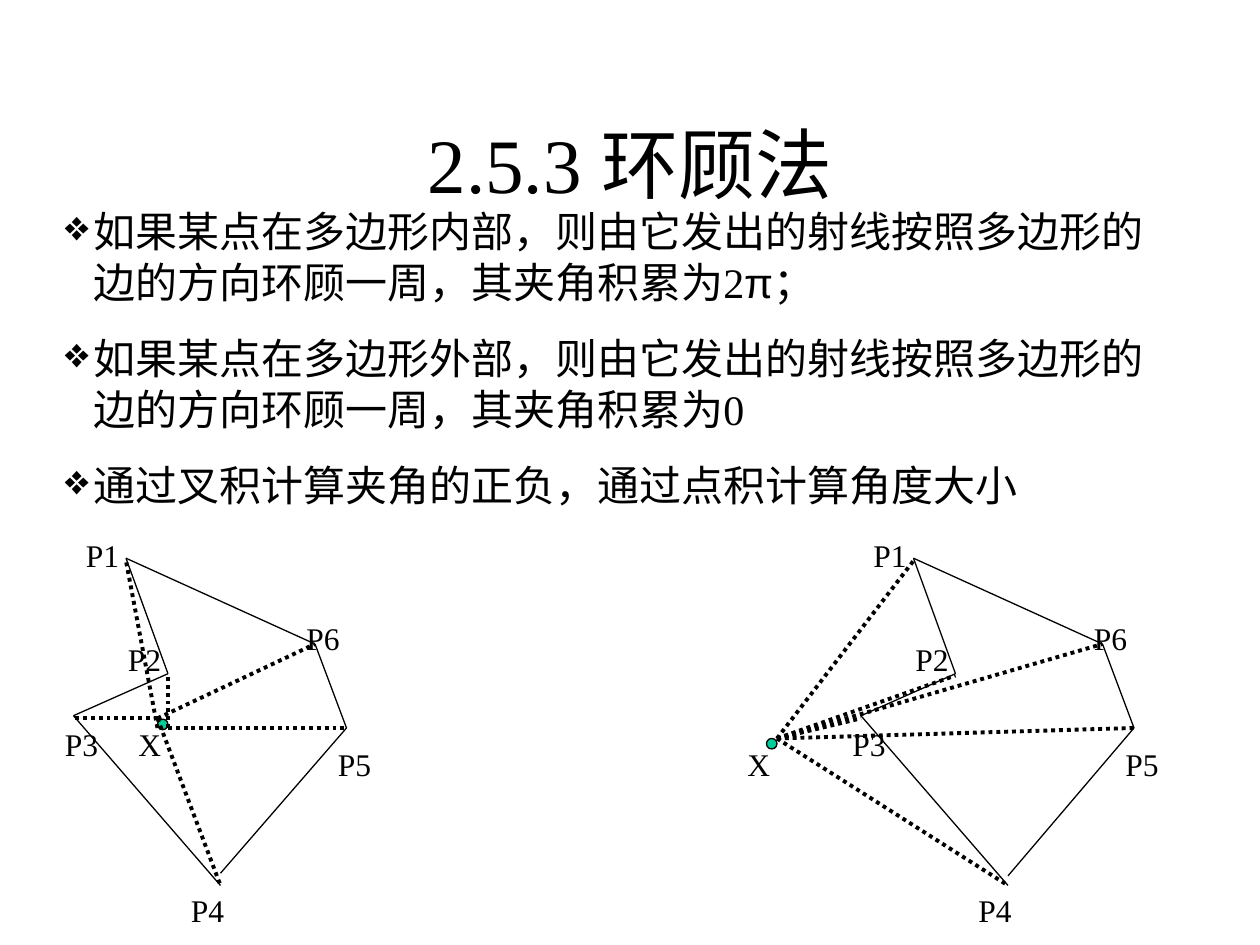
from lxml.etree import SubElement
from pptx import Presentation
from pptx.dml.color import RGBColor
from pptx.enum.dml import MSO_LINE
from pptx.enum.shapes import MSO_CONNECTOR, MSO_SHAPE
from pptx.enum.text import MSO_ANCHOR, PP_ALIGN
from pptx.oxml.ns import qn
from pptx.util import Pt

BLACK = RGBColor(0x00, 0x00, 0x00)
GREEN = RGBColor(0x00, 0xCC, 0x99)
SERIF = "Times New Roman"
SANS = "Arial"
FIGURE_SHIFT = 450

VERTICES = {"P1": (72, 319), "P2": (96, 385), "P3": (42, 409),
            "P4": (126, 506), "P5": (198, 416), "P6": (180, 368)}
EDGES = [("P6", "P1"), ("P1", "P2"), ("P2", "P3"), ("P3", "P4"), ("P6", "P5")]
LABELS = {"P1": (42, 302.5), "P6": (168, 350), "P4": (102, 505.5),
          "P2": (66, 362), "P3": (30, 410.5), "P5": (186, 422)}
RAY_ENDS = VERTICES | {"P1": (72, 320.5), "P2": (96, 386), "P3": (42, 410.5)}

INSIDE_STARTS = {"P1": (90, 416), "P2": (96, 416), "P3": (90, 410.5),
                 "P4": (90, 410.5), "P6": (90, 410.5), "P5": (96, 416)}
OUTSIDE_STARTS = dict.fromkeys(VERTICES, (-6, 422))

POINTS = [
    [("如果某点在多边形内部，则由它发出的射线按照多边形的边的方向环顾一周，其夹角积累为2", SERIF),
     ("π", SANS), ("；", SERIF)],
    [("如果某点在多边形外部，则由它发出的射线按照多边形的边的方向环顾一周，其夹角积累为0", SERIF)],
    [("通过叉积计算夹角的正负，通过点积计算角度大小", SERIF)],
]


class Board:
    """Draws on one slide in a single style."""

    def __init__(self, slide):
        self.shapes = slide.shapes
        self.frame_format = {
            "word_wrap": True,
            "margin_left": Pt(7.2), "margin_right": Pt(7.2),
            "margin_top": Pt(3.6), "margin_bottom": Pt(3.6),
        }

    def text(self, left, top, width, height, paragraphs, size,
             bullet=None, **frame_format):
        """Each paragraph is a list of (wording, font name) runs."""
        box = self.shapes.add_textbox(Pt(left), Pt(top), Pt(width), Pt(height))
        frame = box.text_frame
        for name, value in (self.frame_format | frame_format).items():
            setattr(frame, name, value)
        for index, runs in enumerate(paragraphs):
            paragraph = frame.paragraphs[0] if index == 0 else frame.add_paragraph()
            if index:
                paragraph.space_before = Pt(15)
            if bullet:
                self.bullet(paragraph, bullet)
            for wording, font_name in runs:
                run = paragraph.add_run()
                run.text = wording
                run.font.color.rgb = BLACK
                for name, value in {"name": font_name, "size": Pt(size)}.items():
                    setattr(run.font, name, value)
        return frame

    def bullet(self, paragraph, mark, indent=16.25):
        properties = paragraph._p.get_or_add_pPr()
        properties.set("marL", str(Pt(indent)))
        properties.set("indent", str(-Pt(indent)))
        color = SubElement(properties, qn("a:buClr"))
        SubElement(color, qn("a:srgbClr"), val=str(BLACK))
        SubElement(properties, qn("a:buChar"), char=mark)

    def label(self, left, top, wording):
        self.text(left, top, 36, 28.8, [[(wording, SERIF)]], 18)

    def line(self, start, end, width=0.75, dash=None):
        connector = self.shapes.add_connector(
            MSO_CONNECTOR.STRAIGHT, *map(Pt, (*start, *end)))
        connector.line.color.rgb = BLACK
        for name, value in {"width": Pt(width), "dash_style": dash}.items():
            setattr(connector.line, name, value)
        SubElement(connector._element.spPr, qn("a:effectLst"))

    def ray(self, start, end):
        self.line(start, end, 2.25, MSO_LINE.ROUND_DOT)

    def dot(self, left, top):
        dot = self.shapes.add_shape(MSO_SHAPE.OVAL, Pt(left), Pt(top), Pt(6), Pt(6))
        dot.shadow.inherit = False
        dot.fill.solid()
        dot.fill.fore_color.rgb = GREEN
        dot.line.color.rgb = BLACK
        dot.line.width = Pt(0.75)

    def figure(self, shift, viewpoint, ray_starts, last_edge_top):
        """Polygon with rays from the viewpoint X to every vertex."""
        def moved(point):
            return point[0] + shift, point[1]

        for start, end in EDGES:
            self.line(moved(VERTICES[start]), moved(VERTICES[end]))
        self.line(moved((126, last_edge_top)), moved(VERTICES["P5"]))
        for name, corner in LABELS.items():
            self.label(*moved(corner), name)
        x, y = moved(viewpoint)
        self.dot(x, y)
        self.label(x - 18, y, "X")
        for name, start in ray_starts.items():
            self.ray(moved(start), moved(RAY_ENDS[name]))


def main():
    presentation = Presentation()
    presentation.slide_width = Pt(720)
    presentation.slide_height = Pt(540)
    board = Board(presentation.slides.add_slide(presentation.slide_layouts[6]))

    title = board.text(54, 48, 612, 90, [[("2.5.3 环顾法", SERIF)]], 44,
                       vertical_anchor=MSO_ANCHOR.MIDDLE)
    title.paragraphs[0].alignment = PP_ALIGN.CENTER

    board.figure(0, (90, 411), INSIDE_STARTS, 499)
    board.figure(FIGURE_SHIFT, (-12, 422), OUTSIDE_STARTS, 500.5)
    board.text(30, 114, 648, 181.5, POINTS, 24, bullet="❖")

    presentation.save("out.pptx")


if __name__ == "__main__":
    main()
